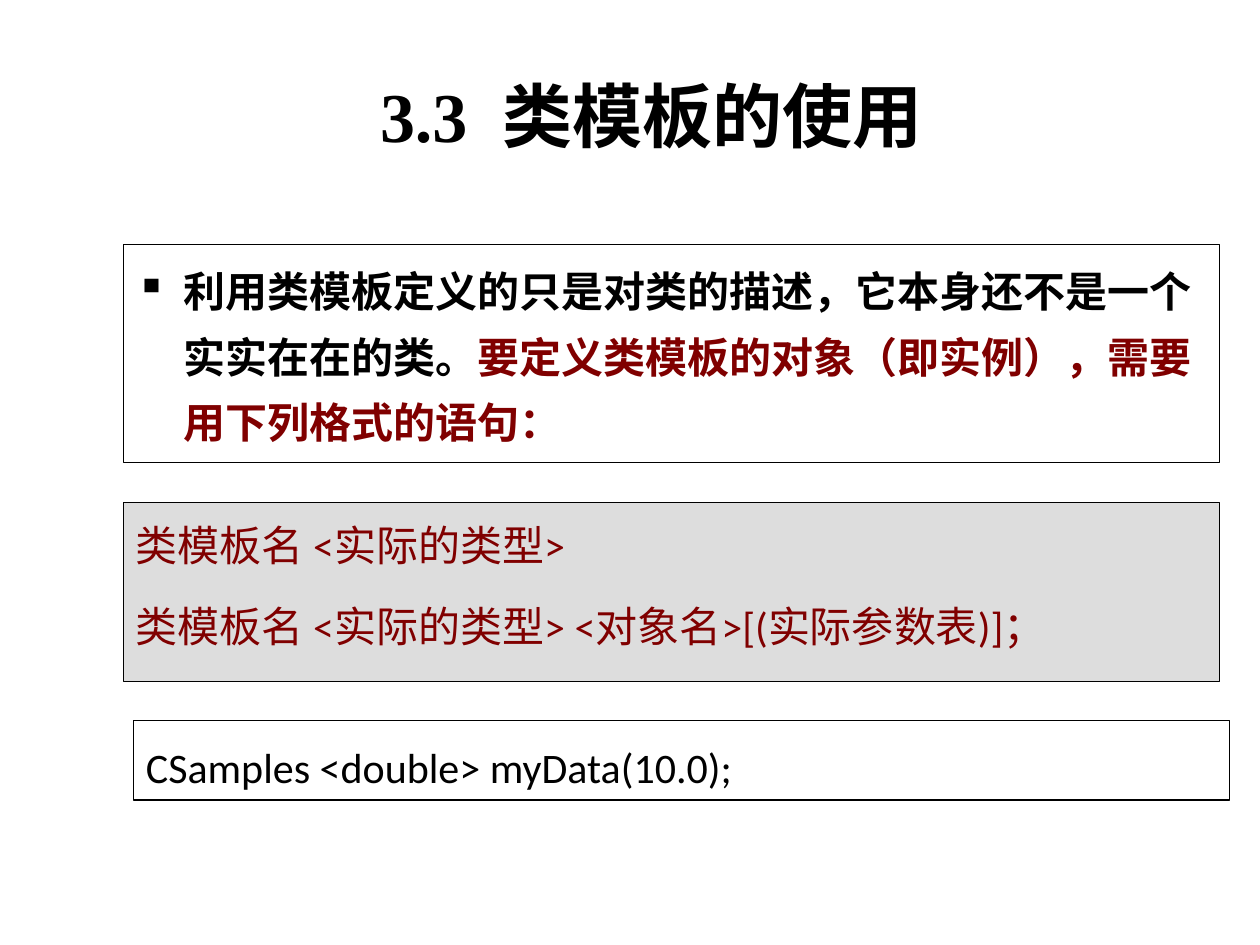
from lxml import etree
from pptx import Presentation
from pptx.dml.color import RGBColor
from pptx.enum.shapes import MSO_SHAPE
from pptx.enum.text import MSO_ANCHOR, PP_ALIGN
from pptx.oxml.ns import qn
from pptx.util import Inches, Pt

RECT = MSO_SHAPE.RECTANGLE
TOP, MIDDLE = MSO_ANCHOR.TOP, MSO_ANCHOR.MIDDLE
LEFT, CENTER = PP_ALIGN.LEFT, PP_ALIGN.CENTER

COLORS = {"black": "000000", "red": "800000", "gray": "DDDDDD"}
SERIF, SANS = "Times New Roman", "Calibri"
INDENT = 0.38

# Content: each paragraph is a list of (text, colour) runs
TITLE = "3.3  类模板的使用 "
BOXES = [
    {"at": (0.98, 1.94, 8.7, 1.73), "fill": None, "font": SERIF, "bold": True,
     "spacing": 1.3, "indent": INDENT, "bullet": "▪",
     "paragraphs": [[
         ("利用类模板定义的只是对类的描述，它本身还不是一个实实在在的类。", "black"),
         ("要定义类模板的对象（即实例），需要用下列格式的语句：", "red")]]},
    {"at": (0.98, 3.99, 8.7, 1.42), "fill": "gray", "font": SANS, "bold": False,
     "spacing": 1.2, "indent": INDENT, "bullet": None,
     "paragraphs": [
         [("类模板名 <实际的类型>", "red")],
         [("类模板名 <实际的类型> <对象名>[(实际参数表)]；", "red")]]},
    {"at": (1.06, 5.72, 8.7, 0.63), "fill": None, "font": SANS, "bold": False,
     "spacing": 1.3, "indent": 0, "bullet": None,
     "paragraphs": [[("CSamples <double> myData(10.0);", "black")]]},
]


def rgb(name):
    return RGBColor.from_string(COLORS[name])


def add_run(p, text, size, font, color, bold):
    r = p.add_run()
    r.text = text
    r.font.size = Pt(size)
    r.font.name = font
    r.font.bold = bold
    r.font.color.rgb = rgb(color)


def set_indent(p, indent, bullet):
    pPr = p._p.get_or_add_pPr()
    pPr.set("marL", str(Inches(indent)))
    pPr.set("indent", str(-Inches(indent)))
    if bullet:
        etree.SubElement(pPr, qn("a:buChar")).set("char", bullet)


def add_box(s, box):
    sp = s.shapes.add_shape(RECT, *map(Inches, box["at"]))
    sp.shadow.inherit = False
    if box["fill"]:
        sp.fill.solid()
        sp.fill.fore_color.rgb = rgb(box["fill"])
    else:
        sp.fill.background()
    sp.line.color.rgb = rgb("black")
    sp.line.width = Pt(0.75)
    tf = sp.text_frame
    tf.word_wrap = True
    tf.vertical_anchor = TOP
    for i, runs in enumerate(box["paragraphs"]):
        p = tf.add_paragraph() if i else tf.paragraphs[0]
        p.alignment = LEFT
        p.line_spacing = box["spacing"]
        if i:
            p.space_before = Pt(12)
        set_indent(p, box["indent"], box["bullet"])
        for text, color in runs:
            add_run(p, text, 24, box["font"], color, box["bold"])


prs = Presentation()
prs.slide_width, prs.slide_height = Inches(10), Inches(7.5)
s = prs.slides.add_slide(prs.slide_layouts[5])

# Title
title = s.shapes.title
title.left, title.top, title.width, title.height = map(Inches, (0.98, 0.28, 8.5, 1.25))
title.text_frame.vertical_anchor = MIDDLE
p = title.text_frame.paragraphs[0]
p.alignment = CENTER
add_run(p, TITLE, 40, SERIF, "black", True)

# Description, syntax and example boxes
for box in BOXES:
    add_box(s, box)

prs.save("out.pptx")
